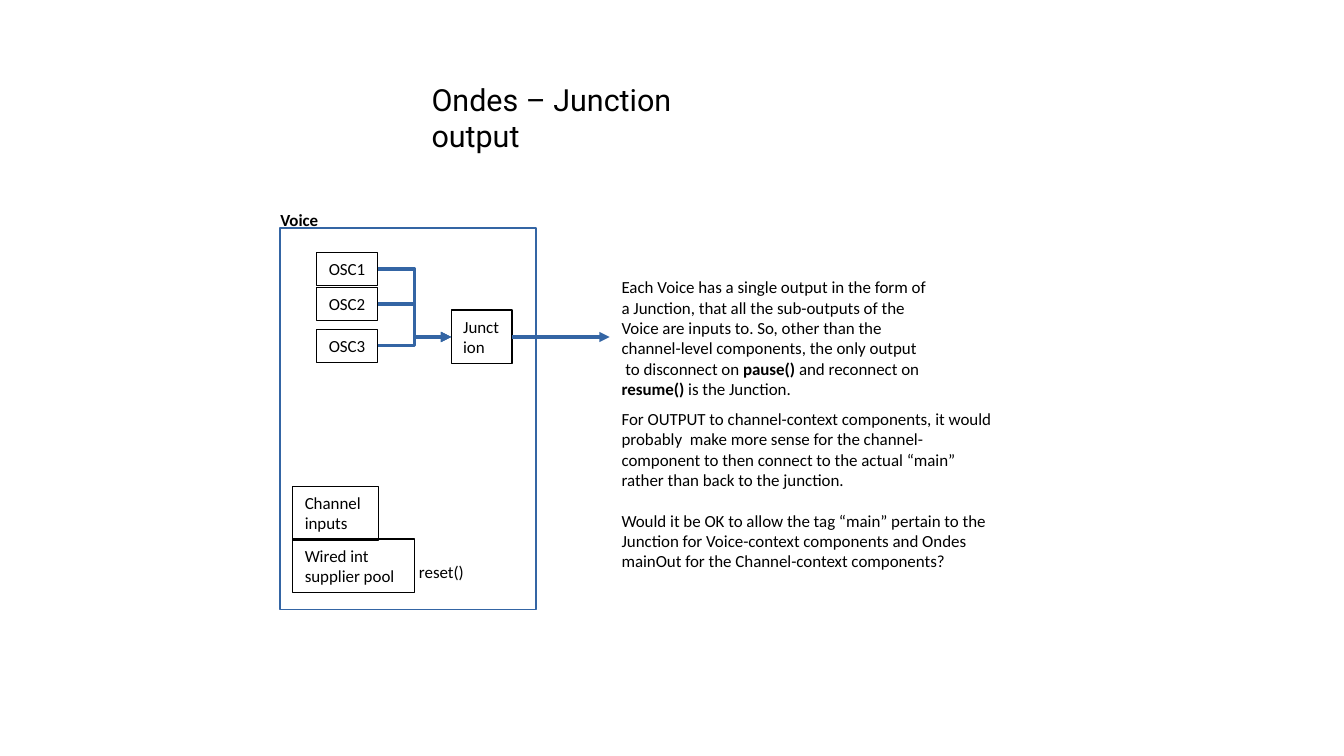
from lxml import etree
from pptx import Presentation
from pptx.dml.color import RGBColor
from pptx.enum.shapes import MSO_CONNECTOR, MSO_SHAPE
from pptx.enum.text import MSO_ANCHOR, MSO_AUTO_SIZE, PP_ALIGN
from pptx.oxml.ns import qn
from pptx.util import Cm, Pt

RECTANGLE = MSO_SHAPE.RECTANGLE
STRAIGHT, ELBOW = MSO_CONNECTOR.STRAIGHT, MSO_CONNECTOR.ELBOW
LEFT, TOP, NO_AUTOFIT = PP_ALIGN.LEFT, MSO_ANCHOR.TOP, MSO_AUTO_SIZE.NONE
LEFT_SITE, RIGHT_SITE = 1, 3
BLACK, BLUE = "000000", "3465A4"
TITLE_ONLY = 5

# Positions are left, top, width, height in centimetres
TITLE = ("Ondes – Junction output", (8.74, 1.55, 6.25, 1.98))
VOICE_FRAME = (5.84, 4.75, 5.33, 7.95)
OSCILLATORS = [("OSC1", 5.26), ("OSC2", 5.99), ("OSC3", 6.86)]
OSC_LEFT, OSC_WIDTH, OSC_HEIGHT = 6.6, 1.27, 0.69
JUNCTION = ("Junction", (9.4, 6.46, 1.27, 1.12))
POOLS = [
    ("Channel inputs", (6.1, 10.13, 1.78, 1.12)),
    ("Wired int supplier pool", (6.1, 11.23, 2.54, 1.12)),
]
OUTPUT_END = 12.7

# Each paragraph is a list of (text, bold) runs
LABELS = [
    ([[("Voice", True)]], (5.59, 4.24, 2.03, 0.69)),
    ([[("reset()", False)]], (8.48, 11.58, 1.93, 0.69)),
]
NOTES = [
    ([
        [("Each Voice has a single output in the form of a Junction, that all the "
          "sub-outputs of the Voice are inputs to. So, other than the "
          "channel-level components, the only output", False)],
        [(" to disconnect on ", False), ("pause() ", True),
         ("and reconnect on ", False), ("resume()", True),
         (" is the Junction.", False)],
    ], (12.7, 5.64, 6.86, 2.82), 0),
    ([
        [("For OUTPUT to channel-context components, it would probably  make more "
          "sense for the channel-component to then connect to the actual “main” "
          "rather than back to the junction.", False)],
        [("Would it be OK to allow the tag “main” pertain to the Junction for "
          "Voice-context components and Ondes mainOut for the Channel-context "
          "components?", False)],
    ], (12.7, 8.38, 8.38, 3.68), 12),
]


def color(hex_string):
    return RGBColor.from_string(hex_string)


def lengths(box):
    return [Cm(value) for value in box]


def write(frame, paragraphs, font_name="Calibri", size=10, gap=0):
    """Fill a text frame with paragraphs of (text, bold) runs."""
    frame.word_wrap = True
    frame.auto_size = NO_AUTOFIT
    frame.vertical_anchor = TOP
    frame.margin_left = frame.margin_right = Cm(0.25)
    frame.margin_top = frame.margin_bottom = Cm(0.13)
    for index, runs in enumerate(paragraphs):
        paragraph = frame.add_paragraph() if index else frame.paragraphs[0]
        paragraph.alignment = LEFT
        paragraph.space_before = Pt(gap if index else 0)
        for words, bold in runs:
            run = paragraph.add_run()
            run.text = words
            run.font.name = font_name
            run.font.size = Pt(size)
            run.font.bold = bold
            run.font.color.rgb = color(BLACK)


def add_box(slide, box, line_color, line_width=0):
    rectangle = slide.shapes.add_shape(RECTANGLE, *lengths(box))
    rectangle.shadow.inherit = False
    rectangle.fill.background()
    rectangle.line.color.rgb = color(line_color)
    rectangle.line.width = Pt(line_width)
    return rectangle


def add_component(slide, name, box):
    component = add_box(slide, box, BLACK)
    write(component.text_frame, [[(name, False)]])
    return component


def add_note(slide, paragraphs, box, gap=0):
    note = slide.shapes.add_textbox(*lengths(box))
    write(note.text_frame, paragraphs, gap=gap)


def add_arrow(slide, kind, source, end_x, end_y, target=None):
    """Run an arrow from the right of source to a point, or to the left of target."""
    start_y = source.top + source.height // 2
    arrow = slide.shapes.add_connector(
        kind, source.left + source.width, start_y, end_x, end_y)
    arrow.begin_connect(source, RIGHT_SITE)
    if target is not None:
        arrow.end_connect(target, LEFT_SITE)
    arrow.line.color.rgb = color(BLUE)
    arrow.line.width = Pt(0)
    etree.SubElement(arrow.line._get_or_add_ln(), qn("a:tailEnd"), type="triangle")
    etree.SubElement(arrow._element.spPr, qn("a:effectLst"))


def main():
    presentation = Presentation()
    presentation.slide_width, presentation.slide_height = Cm(28), Cm(15.75)
    slide = presentation.slides.add_slide(presentation.slide_layouts[TITLE_ONLY])

    heading, heading_box = TITLE
    title = slide.shapes.title
    title.left, title.top, title.width, title.height = lengths(heading_box)
    write(title.text_frame, [[(heading, False)]], "Roboto", 18)

    add_box(slide, VOICE_FRAME, BLUE, 1)
    for paragraphs, box in LABELS:
        add_note(slide, paragraphs, box)
    for name, box in POOLS:
        add_component(slide, name, box)

    junction = add_component(slide, *JUNCTION)
    junction_middle = junction.top + junction.height // 2
    for name, top in OSCILLATORS:
        oscillator = add_component(slide, name, (OSC_LEFT, top, OSC_WIDTH, OSC_HEIGHT))
        add_arrow(slide, ELBOW, oscillator, junction.left, junction_middle, junction)
    add_arrow(slide, STRAIGHT, junction, Cm(OUTPUT_END), junction_middle)

    for paragraphs, box, gap in NOTES:
        add_note(slide, paragraphs, box, gap)

    presentation.save("out.pptx")


if __name__ == "__main__":
    main()
